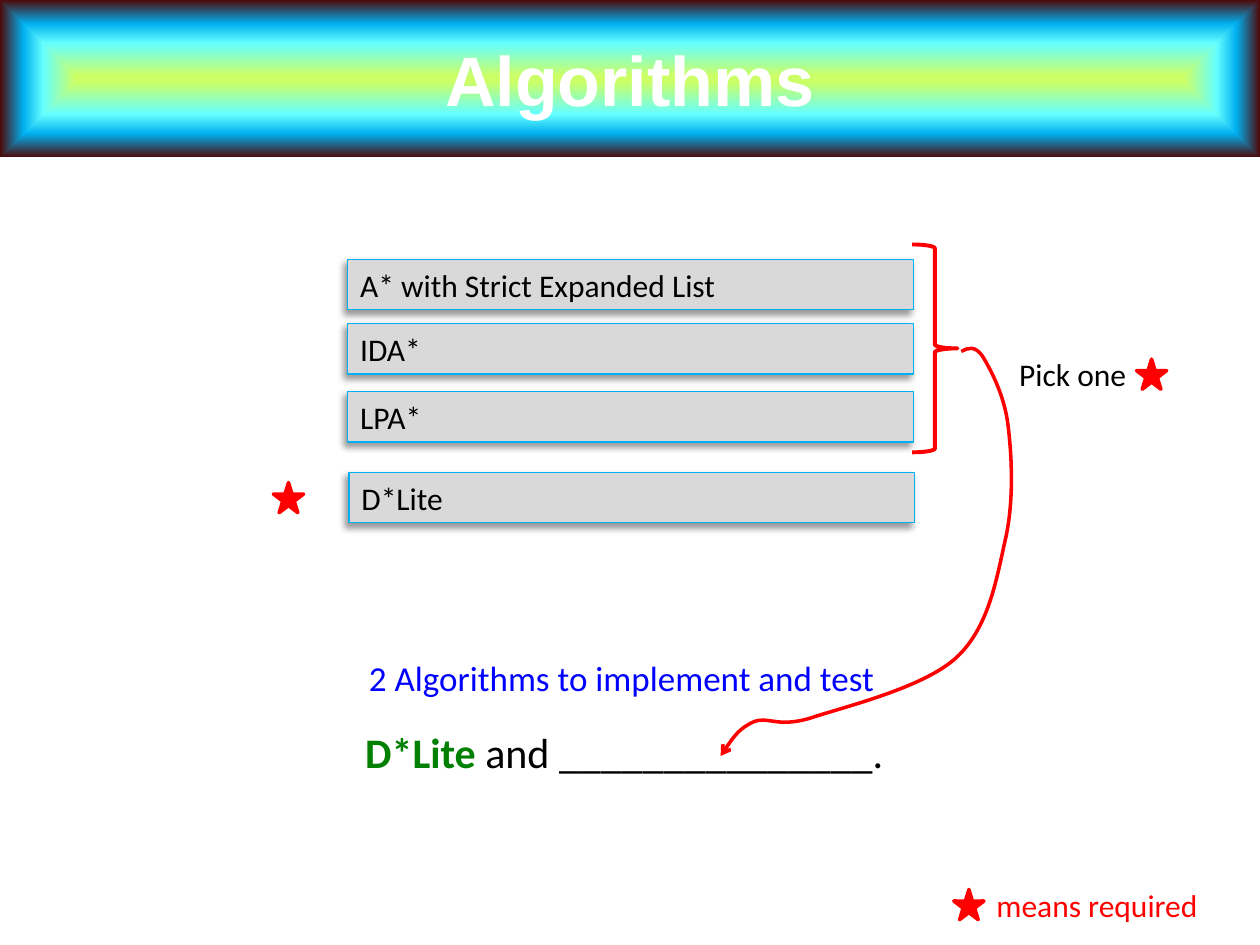
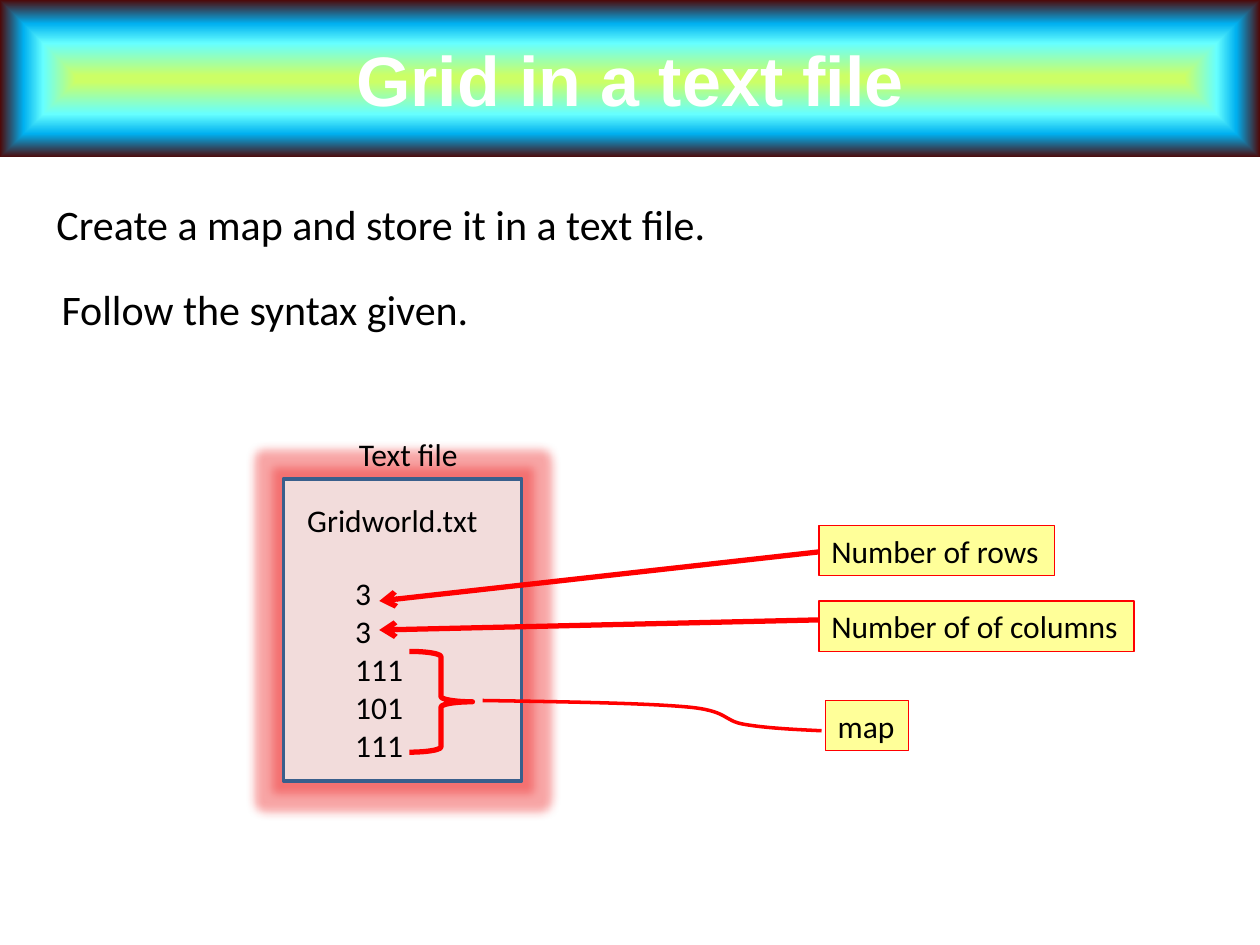
import dataclasses
import lxml.etree
import pptx
import pptx.dml.color
import pptx.enum.shapes
import pptx.enum.text
import pptx.oxml.ns
import pptx.util

Kind = pptx.enum.shapes.MSO_SHAPE
Align = pptx.enum.text.PP_ALIGN
Anchor = pptx.enum.text.MSO_ANCHOR
Fit = pptx.enum.text.MSO_AUTO_SIZE
qn = pptx.oxml.ns.qn


@dataclasses.dataclass(frozen=True)
class Theme:
    head: str = "Arial"
    body: str = "Calibri"
    black: str = "000000"
    white: str = "FFFFFF"
    red: str = "FF0000"
    blue: str = "0000FF"
    green: str = "008000"
    sky: str = "00B0F0"
    gray: str = "D9D9D9"
    cream: str = "FFFF99"
    pink: str = "F2DCDB"
    navy: str = "3A5F8C"
    glow: str = "EE2222"
    band: tuple = ((4, "CCFF66"), (45, "66FFFF"), (70, "00B0F0"), (100, "4D0808"))
    title: int = 40
    large: int = 24
    mid: int = 20
    small: int = 18
    thin: float = 0.75
    line: float = 2
    bold: float = 3


T = Theme()
COLS, ROWS = 100, 75


@dataclasses.dataclass(frozen=True)
class Box:
    left: float
    top: float
    wide: float
    high: float
    cell: float

    def area(self, col, row, cols, rows):
        return Box(self.left + col * self.cell, self.top + row * self.cell,
                   cols * self.cell, rows * self.cell, self.cell)

    def spot(self, col, row):
        return round(self.left + col * self.cell), round(self.top + row * self.cell)

    def rect(self):
        return [round(v) for v in (self.left, self.top, self.wide, self.high)]


def rgb(code):
    return pptx.dml.color.RGBColor.from_string(code)


def node(top, tag, **keys):
    return lxml.etree.SubElement(top, qn("a:" + tag), {k: str(v) for k, v in keys.items()})


def tint(top, code, alpha):
    node(node(top, "srgbClr", val=code), "alpha", val=alpha * 1000)


def stroke(item, code, size, arrow=False):
    item.line.color.rgb = rgb(code)
    item.line.width = pptx.util.Pt(size)
    if arrow:
        node(item._element.spPr.find(qn("a:ln")), "tailEnd", type="arrow")


def shape(slide, box, kind, fill=None, edge=None, size=T.thin):
    item = slide.shapes.add_shape(kind, *box.rect())
    if fill:
        item.fill.solid()
        item.fill.fore_color.rgb = rgb(fill)
    else:
        item.fill.background()
    if edge:
        stroke(item, edge, size)
    else:
        item.line.fill.background()
    item.shadow.inherit = False
    return item


def effect(item, tag, code, alpha, **keys):
    tint(node(item._element.spPr.find(qn("a:effectLst")), tag, **keys), code, alpha)


def style(font, size, code, name=T.body, bold=False):
    font.name, font.size, font.bold = name, pptx.util.Pt(size), bold
    font.color.rgb = rgb(code)


def write(item, text, size=T.small, code=T.black, wrap=False):
    frame = item.text_frame
    frame.word_wrap = wrap
    frame.auto_size = Fit.SHAPE_TO_FIT_TEXT
    frame.vertical_anchor = Anchor.TOP
    frame.text = text
    for para in frame.paragraphs:
        para.alignment = Align.LEFT
        style(para.font, size, code)


def label(slide, box, text, size=T.small, code=T.black):
    item = slide.shapes.add_textbox(*box.rect())
    write(item, text, size, code)
    return item


def star(slide, box):
    shape(slide, box, Kind.STAR_5_POINT, T.red, T.red, T.line)


def curve(slide, box, points, arrow=False):
    start, *rest = [box.spot(*p) for p in points]
    pen = slide.shapes.build_freeform(*start)
    pen.add_line_segments(rest, close=False)
    item = pen.convert_to_shape()
    steps = list(item._element.iter(qn("a:lnTo")))
    for i in range(0, len(steps), 3):
        bend = lxml.etree.Element(qn("a:cubicBezTo"))
        steps[i].addprevious(bend)
        for step in steps[i:i + 3]:
            bend.append(step[0])
            step.getparent().remove(step)
    item.fill.background()
    stroke(item, T.red, T.line, arrow)
    item.shadow.inherit = False


def arrow(slide, start, end):
    item = slide.shapes.add_connector(pptx.enum.shapes.MSO_CONNECTOR.STRAIGHT, *start, *end)
    stroke(item, T.red, T.bold, True)
    node(item._element.spPr, "effectLst")


def banner(slide, box, text):
    item = shape(slide, box, Kind.RECTANGLE)
    props = item._element.spPr
    grad = lxml.etree.Element(qn("a:gradFill"))
    props.replace(props.find(qn("a:noFill")), grad)
    stops = node(grad, "gsLst")
    for pos, code in T.band:
        node(node(stops, "gs", pos=pos * 1000), "srgbClr", val=code)
    mid = dict.fromkeys("ltrb", 50000)
    node(node(grad, "path", path="shape"), "fillToRect", **mid)
    frame = item.text_frame
    frame.text = text
    frame.vertical_anchor = Anchor.MIDDLE
    para = frame.paragraphs[0]
    para.alignment = Align.CENTER
    style(para.font, T.title, T.white, T.head, True)


def choices(slide, box):
    bars = (("A* with Strict Expanded List", 0, 1.2), ("IDA*", 0, 6.3),
            ("LPA*", 0, 11.7), ("D*Lite", 0.1, 18.1))
    for text, col, row in bars:
        bar = shape(slide, box.area(5.9 + col, row, 44.9, 4), Kind.RECTANGLE, T.gray, T.sky)
        effect(bar, "outerShdw", T.black, 40, blurRad=pptx.util.Pt(4),
               dist=pptx.util.Pt(3), dir=135 * 60000, algn="tr", rotWithShape=0)
        write(bar, text, wrap=True)
    shape(slide, box.area(50.7, 0, 3.6, 16.5), Kind.RIGHT_BRACE, None, T.red, 2.25)
    label(slide, box.area(58.2, 8.3, 10.6, 4), "Pick one")
    star(slide, box.area(0, 18.9, 2.4, 2.4))
    star(slide, box.area(68.5, 9.1, 2.4, 2.4))


def task(slide, box):
    label(slide, box.area(0.3, 0, 42.5, 4.4), "2 Algorithms to implement and test", T.mid, T.blue)
    item = label(slide, box.area(0, 5.6, 43.6, 5), "", T.large)
    para = item.text_frame.paragraphs[0]
    for text, code, bold in (("D*Lite", T.green, True),
                             (" and _______________.", T.black, False)):
        run = para.add_run()
        run.text = text
        style(run.font, T.large, code, bold=bold)


def key(slide, box):
    star(slide, box.area(0, 0.8, 2.4, 2.4))
    label(slide, box.area(2.4, 0, 18.2, 4), "means required", T.small, T.red)


def link(slide, box):
    curve(slide, box, (
        (19.1, 0.3), (19.6, 0), (20.2, -0.2), (20.8, 0.7),
        (21.4, 1.7), (22.5, 3.7), (22.8, 6.1), (23.1, 8.5), (23.3, 12.1), (22.6, 15.2),
        (21.9, 18.3), (21.3, 22.2), (18.7, 24.6), (16.1, 27), (9.8, 28.5), (7.1, 29.4),
        (4.4, 30.2), (3.8, 29.2), (2.6, 29.7), (1.5, 30.2), (0.7, 31.3), (0, 32.4)), True)


def intro(slide, box):
    label(slide, box.area(0, 0, 54, 5), "Create a map and store it in a text file.", T.large)
    label(slide, box.area(0.4, 6.7, 34.6, 5), "Follow the syntax given.", T.large)


def sheet(slide, box):
    page = shape(slide, box.area(0, 4, 18.9, 24), Kind.RECTANGLE, T.pink, T.navy, T.line)
    effect(page, "glow", T.glow, 40, rad=pptx.util.Pt(11))
    label(slide, box.area(4.7, 11.1, 5.9, 16.2), "\n".join(("3", "3", "111", "101", "111")))
    label(slide, box.area(0.9, 5.3, 15.7, 4), "Gridworld.txt")
    label(slide, box.area(5, 0, 10, 4), "Text file")


def notes(slide, box):
    tags = (("Number of rows", 34.9, 0, 18.7), ("Number of of columns", 34.9, 6, 25),
            ("map", 35.4, 13.9, 6.6))
    for text, col, row, cols in tags:
        tag = shape(slide, box.area(col, row, cols, 4), Kind.RECTANGLE, T.cream, T.red)
        write(tag, text)
    for row, end in ((2.1, 6), (7.5, 8.3)):
        arrow(slide, box.spot(34.9, row), box.spot(0, end))
    shape(slide, box.area(2.4, 10, 5, 8), Kind.RIGHT_BRACE, None, T.red, T.bold)
    curve(slide, box, (
        (8.2, 13.9), (14.5, 14), (20.8, 14.1), (24.3, 14.4), (27.8, 14.7),
        (27.2, 15.5), (29, 15.8), (30.8, 16.1), (33, 16.2), (35.1, 16.3)))


def start(deck, page, text):
    slide = deck.slides.add_slide(deck.slide_layouts[6])
    banner(slide, page.area(0, 0, COLS, ROWS / 6), text)
    return slide


def main():
    deck = pptx.Presentation()
    deck.slide_width = pptx.util.Inches(10)
    deck.slide_height = pptx.util.Inches(7.5)
    page = Box(0, 0, deck.slide_width, deck.slide_height, deck.slide_width / COLS)

    slide = start(deck, page, "Algorithms")
    choices(slide, page.area(21.7, 19.4, 71, 22.1))
    task(slide, page.area(28, 51.6, 43.6, 10.6))
    key(slide, page.area(75.7, 69.8, 20.6, 4))
    link(slide, page.area(57.2, 27.6, 23.1, 32.4))

    slide = start(deck, page, "Grid in a text file")
    intro(slide, page.area(3.5, 15.3, 54, 11.7))
    sheet(slide, page.area(22.5, 34, 18.9, 28))
    notes(slide, page.area(30.1, 41.7, 59.9, 18))
    deck.save("out.pptx")


main()
